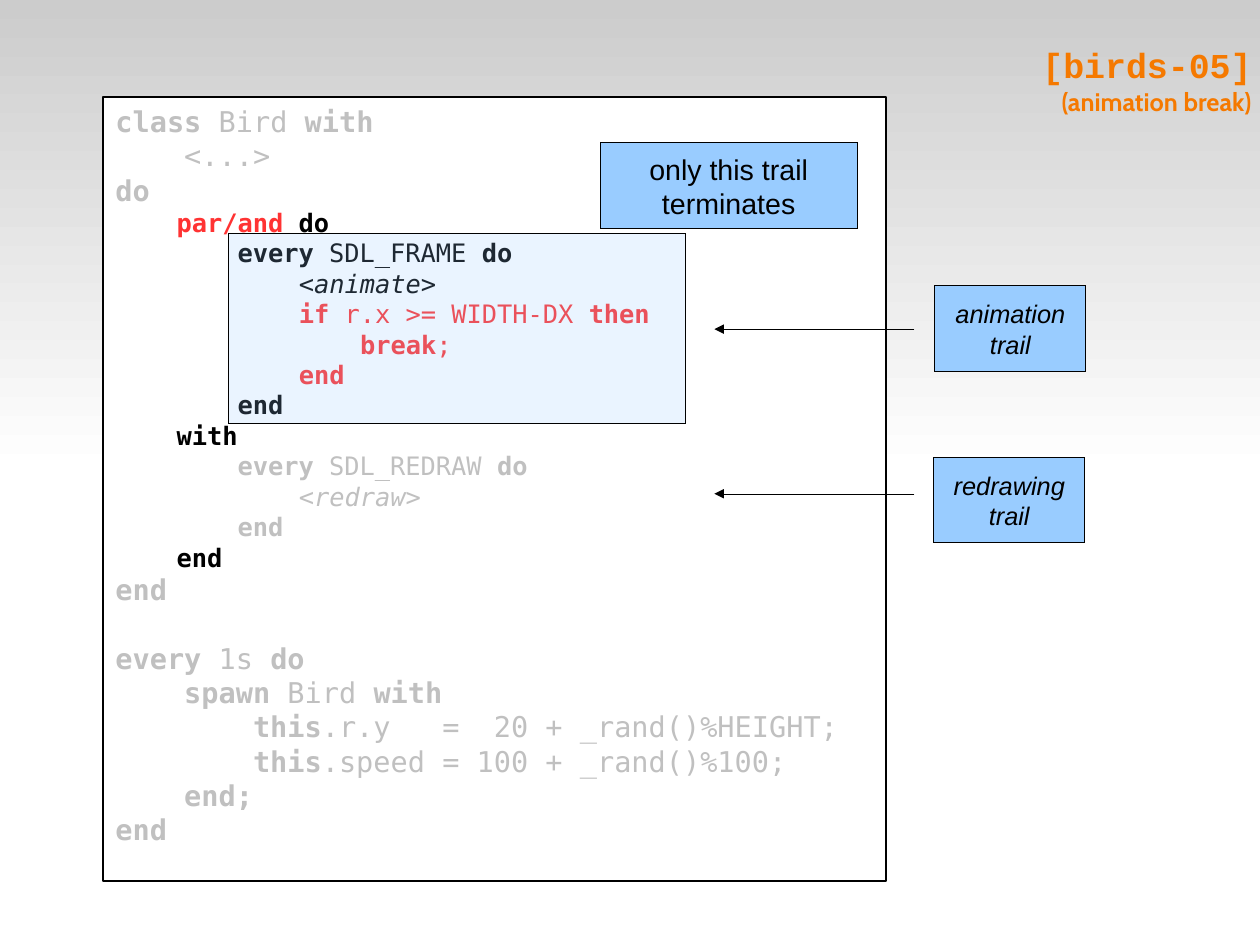
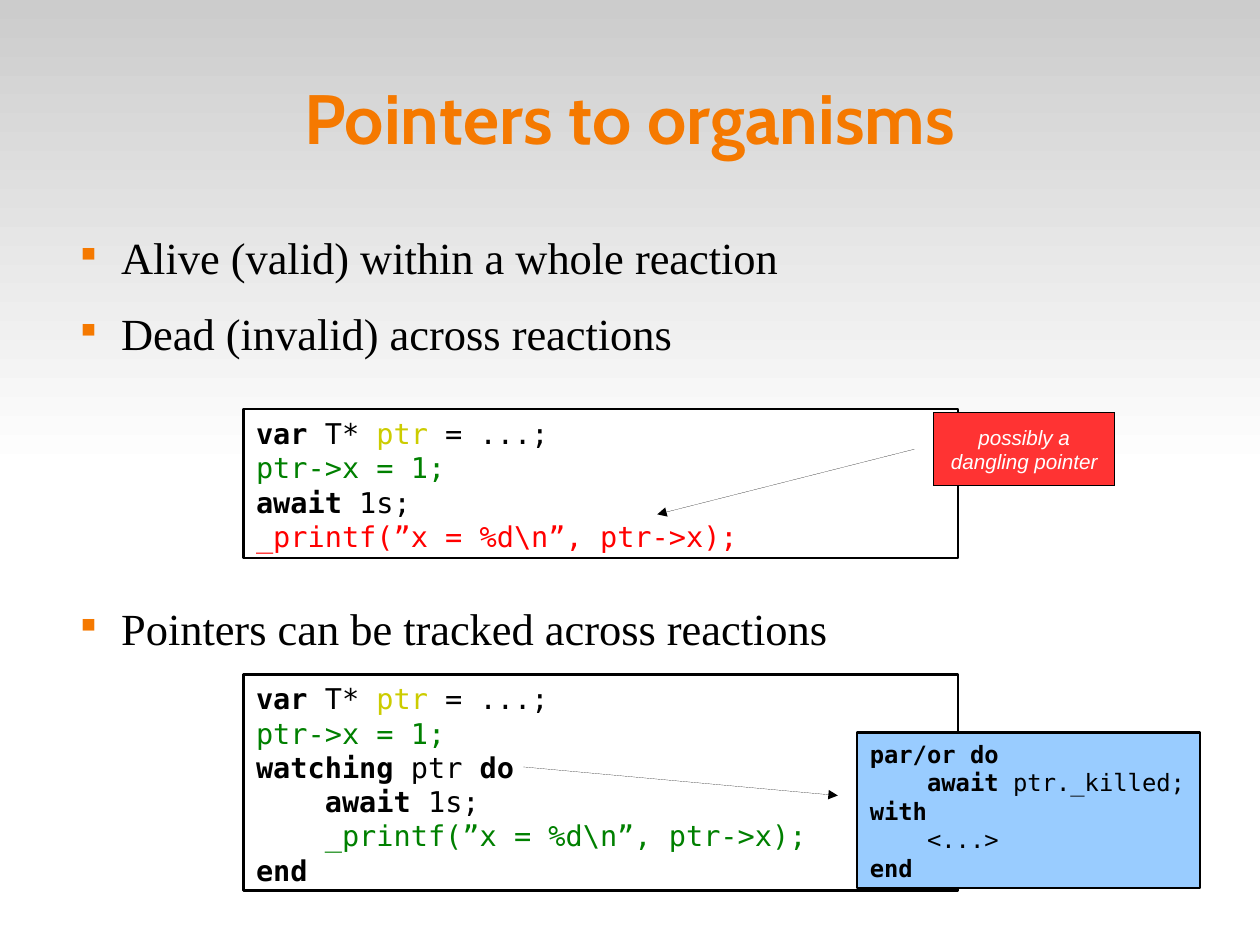
from lxml.etree import SubElement
from pptx import Presentation
from pptx.dml.color import RGBColor
from pptx.enum.shapes import MSO_CONNECTOR, MSO_SHAPE
from pptx.enum.text import MSO_ANCHOR, PP_ALIGN
from pptx.oxml.ns import qn
from pptx.util import Cm, Inches, Pt

# Page size, and a shared grid of quarter-inch columns and rows
PAGE_WIDTH, PAGE_HEIGHT = Cm(28), Cm(21)
CELL = 0.25

# Shared colours and fonts
ORANGE, SKY, RED, WHITE, BLACK = "F57900", "99CCFF", "FF3333", "FFFFFF", "000000"
GREY, GREEN, YELLOW, WARNING = "C0C0C0", "008000", "CCCC00", "FF0000"
CODE_FONT, TITLE_FONT, BODY_FONT, NOTE_FONT = (
    "DejaVu Sans Mono", "Cabin", "Times New Roman", "Arial")
MONO_ADVANCE = 0.602  # character width as a share of the text size
TAB = 4               # characters per indent level
CODE_INSETS, NOTE_INSETS = (0.11, 0.06), (0.1, 0.05)


def color(hex_string):
    return RGBColor.from_string(hex_string)


def grid(*cells):
    return [Inches(cell * CELL) for cell in cells]


def add_span(para, text, *, size, font, fill=BLACK, bold=False, italic=False):
    span = para.add_run()
    span.text = text
    span.font.size, span.font.name = Pt(size), font
    span.font.bold, span.font.italic = bold, italic
    span.font.color.rgb = color(fill)


def prepare_frame(shape, insets=(0, 0), anchor=MSO_ANCHOR.TOP, wrap=True):
    frame = shape.text_frame
    frame.word_wrap, frame.vertical_anchor = wrap, anchor
    frame.margin_left = frame.margin_right = Inches(insets[0])
    frame.margin_top = frame.margin_bottom = Inches(insets[1])
    return frame


def next_para(frame, first, align=PP_ALIGN.LEFT):
    para = frame.paragraphs[0] if first else frame.add_paragraph()
    para.alignment = align
    return para


def draw_line(shape, width):
    """Black line; the width is written out even when it is a hairline."""
    shape.line.color.rgb = color(BLACK)
    outline = shape._element.spPr.find(qn("a:ln"))
    outline.set("w", str(int(Pt(width))))
    return outline


def add_panel(page, box, fill, line_width=0, opacity=None):
    panel = page.shapes.add_shape(MSO_SHAPE.RECTANGLE, *grid(*box))
    panel.shadow.inherit = False
    panel.fill.solid()
    panel.fill.fore_color.rgb = color(fill)
    draw_line(panel, line_width)
    if opacity is not None:
        tone = panel._element.spPr.find(qn("a:solidFill"))[0]
        SubElement(tone, qn("a:alpha"), val=str(opacity * 1000))
    return panel


def add_arrow(page, start, end):
    arrow = page.shapes.add_connector(MSO_CONNECTOR.STRAIGHT, *grid(*start, *end))
    SubElement(draw_line(arrow, 0), qn("a:tailEnd"), type="triangle")
    SubElement(arrow._element.spPr, qn("a:effectLst"))


def add_code(page, box, lines, fill=WHITE):
    """Each line is (level, size, spans, space before); ~ toggles bold in a span."""
    frame = prepare_frame(add_panel(page, box, fill, 1.45), CODE_INSETS)
    for number, (level, size, spans, before) in enumerate(lines):
        para = next_para(frame, number == 0)
        para.space_before = Pt(before)
        margin = Pt(level * TAB * MONO_ADVANCE * size)
        para._p.get_or_add_pPr().set("marL", str(int(margin)))
        for text, tone in spans:
            for part, words in enumerate(text.split("~")):
                if words:
                    add_span(para, words, size=size, font=CODE_FONT, fill=tone,
                             bold=part % 2 == 1,
                             italic=words in ("<animate>", "<redraw>"))


def code(level, text, tone=BLACK, size=18, before=0):
    return level, size, [(text, tone)], before


def add_note(page, box, lines, back=SKY, **style):
    frame = prepare_frame(add_panel(page, box, back), NOTE_INSETS,
                          MSO_ANCHOR.MIDDLE, wrap=False)
    for number, text in enumerate(lines):
        para = next_para(frame, number == 0, PP_ALIGN.CENTER)
        add_span(para, text, font=NOTE_FONT, **style)


def add_title(page, box, lines, align):
    """Each line is (text, size, font)."""
    frame = prepare_frame(page.shapes.add_textbox(*grid(*box)),
                          anchor=MSO_ANCHOR.MIDDLE)
    para = next_para(frame, True, align)
    for number, (text, size, font) in enumerate(lines):
        if number:
            para.add_line_break()
        add_span(para, text, size=size, font=font, fill=ORANGE, bold=True)


def add_bullets(page, box, items):
    """Each item is (text, space before)."""
    frame = prepare_frame(page.shapes.add_textbox(*grid(*box)))
    for number, (text, before) in enumerate(items):
        para = next_para(frame, number == 0)
        para.space_before, para.space_after = Pt(before), Pt(14.2)
        add_span(para, text, size=28, font=BODY_FONT)
        properties = para._p.get_or_add_pPr()
        properties.set("marL", str(int(Inches(0.47))))
        properties.set("indent", str(int(Inches(-0.35))))
        SubElement(SubElement(properties, qn("a:buClr")), qn("a:srgbClr"), val=ORANGE)
        SubElement(properties, qn("a:buSzPct"), val="45000")
        SubElement(properties, qn("a:buChar"), char="■")


def new_page(deck):
    page = deck.slides.add_slide(deck.slide_layouts[6])
    # Grey band fading out over the upper half
    band = page.shapes.add_shape(MSO_SHAPE.RECTANGLE, 0, 0,
                                 PAGE_WIDTH, PAGE_HEIGHT // 2)
    band.shadow.inherit = False
    band.line.fill.background()
    band.fill.gradient()
    band.fill.gradient_angle = 270
    for stop, tone in zip(band.fill.gradient_stops, ("CCCCCC", WHITE)):
        stop.color.rgb = color(tone)
    return page


def build_animation_page(deck):
    page = new_page(deck)
    # Program listing
    add_code(page, (3.6, 3.4, 27.4, 27.44), [
        code(0, "~class~ Bird ~with~", GREY),
        code(1, "<...>", GREY),
        code(0, "~do~", GREY),
        (1, 16, [("~par/and~", RED), ("~ do~", BLACK)], 0),
        code(2, "~every~ SDL_FRAME ~do~", size=16),
        code(3, "<animate>", size=16),
        code(3, "~if~ r.x >= WIDTH-DX ~then~", RED, 16),
        code(4, "~break~;", RED, 16),
        code(3, "~end~", RED, 16),
        code(2, "~end~", size=16),
        code(1, "~with~", size=16),
        code(2, "~every~ SDL_REDRAW ~do~", GREY, 16),
        code(3, "<redraw>", GREY, 16),
        code(2, "~end~", GREY, 16),
        code(1, "~end~", size=16),
        code(0, "~end~", GREY),
        code(0, "~every ~1s ~do~", GREY, before=21.4),
        code(1, "~spawn ~Bird ~with~", GREY),
        code(2, "~this~.r.y   =  20 + _rand()%HEIGHT;", GREY),
        code(2, "~this~.speed = 100 + _rand()%100;", GREY),
        code(1, "~end;~", GREY),
        code(0, "~end~", GREY),
    ])
    # Highlight over the animation trail
    add_panel(page, (8, 8.16, 16, 6.68), SKY, opacity=20)
    add_note(page, (21, 5, 9, 3), ["only this trail", "terminates"], size=18)
    add_title(page, (4.12, 0.04, 39.68, 5.52),
              [("[birds-05]", 22, "Courier New"),
               ("(animation break)", 16, TITLE_FONT)], PP_ALIGN.RIGHT)
    # Trail labels and their arrows
    for name, left, top, arrow_row in (("animation", 32.72, 10, 11.52),
                                       ("redrawing", 32.68, 16, 17.28)):
        add_note(page, (left, top, 5.28, 3), [name, "trail"], size=16, italic=True)
        add_arrow(page, (32, arrow_row), (25, arrow_row))


def build_pointers_page(deck):
    page = new_page(deck)
    add_title(page, (2.2, 1.32, 39.68, 5.52),
              [("Pointers to organisms", 44, TITLE_FONT)], PP_ALIGN.CENTER)
    add_bullets(page, (2.36, 8.04, 36.64, 21.84), [
        ("Alive (valid) within a whole reaction", 0),
        ("Dead (invalid) across reactions", 0),
        ("Pointers can be tracked across reactions", 138.5),
    ])
    # Unsafe and watched versions open with the same two lines
    opening = [
        (0, 18, [("~var ~T* ", BLACK), ("ptr", YELLOW), (" = ...;", BLACK)], 0),
        code(0, "ptr->x = 1;", GREEN),
    ]
    printing = "_printf(”x = %d\\n”, ptr->x);"
    add_code(page, (8.52, 14.32, 25, 5.2), opening + [
        code(0, "~await~ 1s;"),
        code(0, printing, WARNING),
    ])
    add_code(page, (8.52, 23.6, 25, 7.56), opening + [
        code(0, "~watching ~ptr ~do~"),
        code(1, "~await~ 1s;"),
        code(1, printing, GREEN),
        code(0, "~end~"),
    ])
    # Expansion of the watching block
    add_code(page, (30, 25.64, 12, 5.44), [
        code(0, "~par/or do~", size=15),
        code(1, "~await ~ptr._killed;", size=15),
        code(0, "~with~", size=15),
        code(1, "<...>", size=15),
        code(0, "~end~", size=15),
    ], SKY)
    add_arrow(page, (18.32, 26.84), (29.32, 27.84))
    # Warning about the unsafe version
    add_note(page, (32.68, 14.44, 6.32, 2.56), ["possibly a", "dangling pointer"],
             RED, size=13, italic=True, fill=WHITE)
    add_arrow(page, (32, 15.72), (23, 18))


def main():
    deck = Presentation()
    deck.slide_width = PAGE_WIDTH
    deck.slide_height = PAGE_HEIGHT
    build_animation_page(deck)
    build_pointers_page(deck)
    deck.save("out.pptx")


if __name__ == "__main__":
    main()
